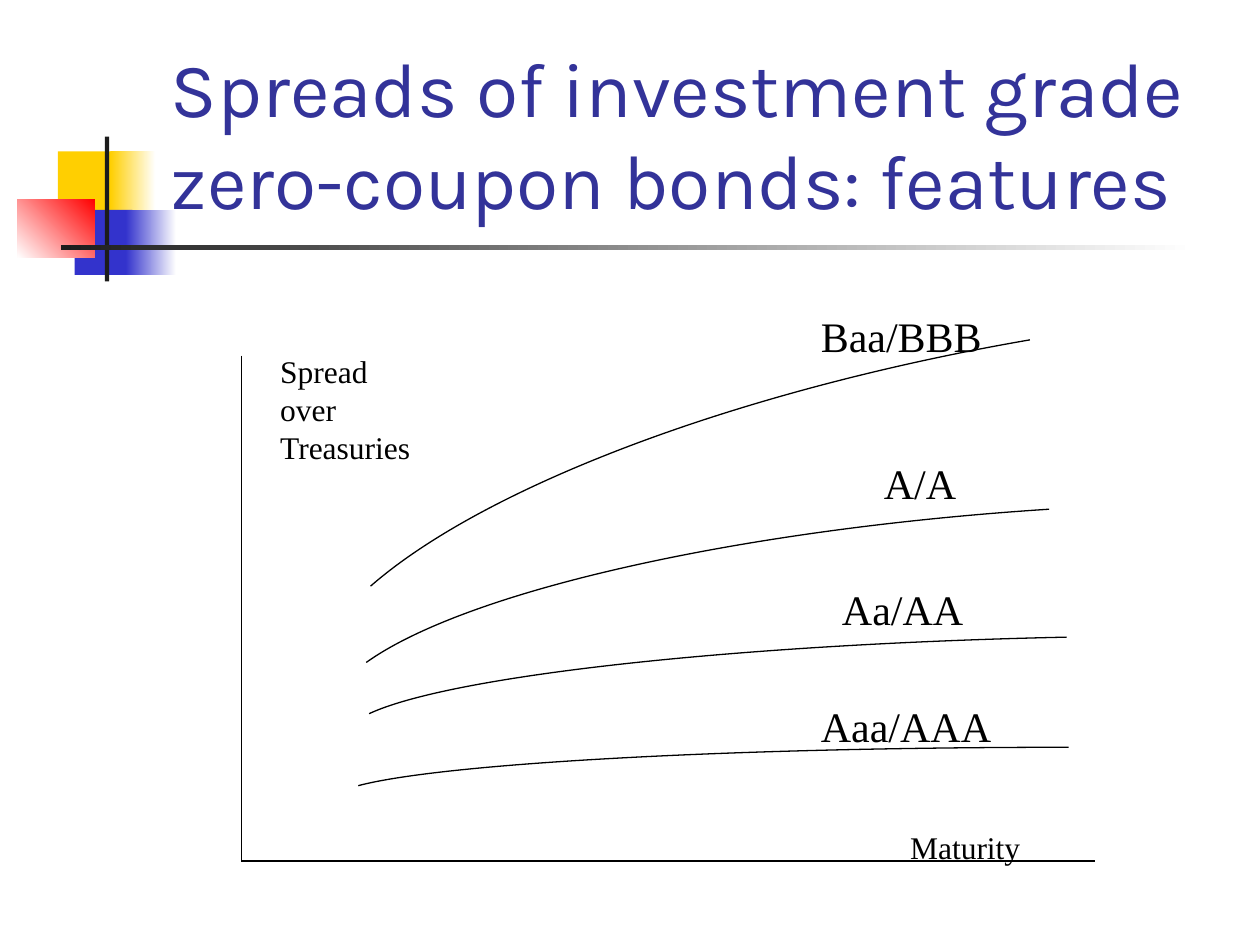
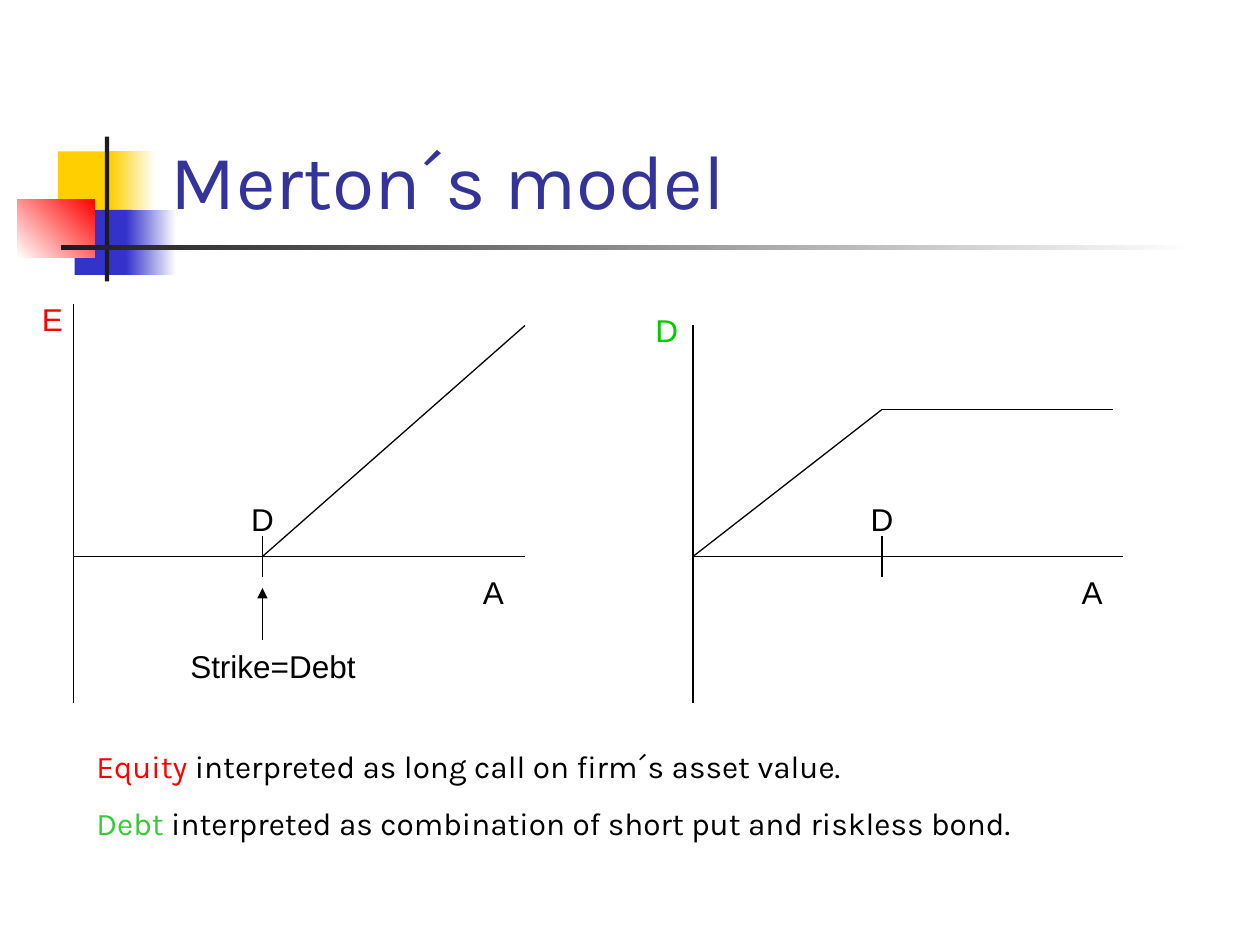
from math import cos, radians, sin, tan

from lxml import etree
from pptx import Presentation
from pptx.dml.color import RGBColor
from pptx.enum.shapes import MSO_CONNECTOR, MSO_SHAPE
from pptx.enum.text import MSO_ANCHOR, MSO_AUTO_SIZE, PP_ALIGN
from pptx.oxml.ns import qn
from pptx.util import Pt

RECTANGLE = MSO_SHAPE.RECTANGLE
STRAIGHT = MSO_CONNECTOR.STRAIGHT
LEFT, CENTER = PP_ALIGN.LEFT, PP_ALIGN.CENTER
BOTTOM = MSO_ANCHOR.BOTTOM
FIXED, GROW = MSO_AUTO_SIZE.NONE, MSO_AUTO_SIZE.SHAPE_TO_FIT_TEXT
TITLE_ONLY = 5

COLORS = {
    "title": "333399", "text": "000000", "white": "FFFFFF",
    "yellow": "FFCF01", "blue": "3333CC", "red": "FF0000", "bar": "1C1C1C",
    "debt_axis": "00CC00", "debt_word": "33CC33",
}
TITLE_FONT, SERIF, SANS = "Karla", "Times New Roman", "Arial"
TITLE_BOX = (90.4, 16.9, 613.4, 115.2)

# left, top, width, height, color, direction of the fade to white (None: solid)
ORNAMENT = [
    (33.1, 86.5, 34.6, 37.4, "yellow", None),
    (63.1, 86.5, 25.7, 37.4, "yellow", 0),
    (42.6, 119.9, 33.1, 37.2, "blue", None),
    (72, 119.9, 28.6, 37.2, "blue", 0),
    (9.9, 113.8, 44.3, 33.4, "red", 225),
    (59.9, 78, 2.5, 82.8, "bar", None),
    (34.8, 140.2, 648, 2.5, "bar", 0),
]

SPREAD_TITLE = "Spreads of investment grade zero-coupon bonds: features"
SPREAD_AXES = [(138, 203.2), (138, 492), (625.5, 492)]
# ellipse center, radii, tilt in degrees, sweep back from the top in degrees
SPREAD_CURVES = [
    ((610.6, 456.5), (419.8, 29.5), 0, 75.2),
    ((610.6, 411.3), (412.6, 47.2), -1.2, 75.5),
    ((605.6, 385.1), (420.1, 94.3), -3.7, 70.1),
    ((611.6, 327.6), (442.4, 135.4), -9.8, 63.3),
]
# text, left, top, width, height, size
SPREAD_LABELS = [
    ("Spread over Treasuries", 153, 197.6, 94.3, 72, 18),
    ("Maturity", 513, 469.4, 134.6, 28.8, 18),
    ("Baa/BBB", 462, 174, 126, 36, 24),
    ("A/A", 498, 258, 67.7, 36, 24),
    ("Aa/AA", 474, 330, 106.6, 36, 24),
    ("Aaa/AAA", 462, 396.5, 126, 36, 24),
]

MERTON_TITLE = "Merton´s model"
BASELINE, AXIS_BOTTOM = 318, 402
PAYOFFS = [
    {"axis_top": 174, "axis_right": 300, "strike": 150,
     "payoff": [(42, 318), (150, 318), (300, 186)],
     "value": ("E", "red", 30, 168, 36), "asset": (282, 36)},
    {"axis_top": 186, "axis_right": 642, "strike": 504,
     "payoff": [(396, 318), (504, 234), (636, 234)],
     "value": ("D", "debt_axis", 381, 174, 42), "asset": (624, 48)},
]
CONCLUSIONS = [
    [("Equity", "red"),
     (" interpreted as long call on firm´s asset value.", "text")],
    [("Debt", "debt_word"),
     (" interpreted as combination of short put and riskless bond.", "text")],
]


def rgb(name):
    return RGBColor.from_string(COLORS[name])


def style(span, font, size, color):
    span.font.name = font
    span.font.size = Pt(size)
    span.font.color.rgb = rgb(color)


def add_ornament(deck, page):
    """Shape the ornament on a page, then hand it to the slide master."""
    master_tree = deck.slide_master.shapes.element
    for index, (*box, color, fade) in enumerate(ORNAMENT):
        block = page.shapes.add_shape(RECTANGLE, *map(Pt, box))
        block.shadow.inherit = False
        block.line.fill.background()
        if fade is None:
            block.fill.solid()
            block.fill.fore_color.rgb = rgb(color)
        else:
            block.fill.gradient()
            block.fill.gradient_angle = fade
            for stop, name in zip(block.fill.gradient_stops, (color, "white")):
                stop.color.rgb = rgb(name)
        block.element.nvSpPr.cNvPr.set("id", str(100 + index))
        master_tree.insert(2 + index, block.element)


def add_page(deck, heading):
    page = deck.slides.add_slide(deck.slide_layouts[TITLE_ONLY])
    title = page.shapes.title
    title.left, title.top, title.width, title.height = map(Pt, TITLE_BOX)
    frame = title.text_frame
    frame.text = heading
    frame.word_wrap = True
    frame.auto_size = FIXED
    frame.vertical_anchor = BOTTOM
    frame.paragraphs[0].alignment = LEFT
    style(frame.paragraphs[0].runs[0], TITLE_FONT, 44, "title")
    return page


def add_text(shapes, paragraphs, box, font, size=18, align=LEFT):
    """Add a text box; each paragraph is a list of (text, color) spans."""
    frame = shapes.add_textbox(*map(Pt, box)).text_frame
    frame.word_wrap = True
    frame.auto_size = GROW
    for index, spans in enumerate(paragraphs):
        para = frame.add_paragraph() if index else frame.paragraphs[0]
        para.alignment = align
        para.space_before = Pt(size * 0.62)
        for text, color in spans:
            span = para.add_run()
            span.text = text
            style(span, font, size, color)


def add_centered(shapes, text, center, top, color="text", width=36):
    box = (center - width / 2, top, width, 28.8)
    add_text(shapes, [[(text, color)]], box, SANS, align=CENTER)


def add_line(shapes, start, end, arrow=False):
    line = shapes.add_connector(STRAIGHT, *map(Pt, (*start, *end)))
    line.line.width = Pt(0.75)
    line.line.color.rgb = rgb("text")
    properties = line.element.spPr
    etree.SubElement(properties, qn("a:effectLst"))
    if arrow:
        etree.SubElement(properties.find(qn("a:ln")), qn("a:tailEnd"),
                         type="triangle")


def add_path(shapes, points):
    for start, end in zip(points, points[1:]):
        add_line(shapes, start, end)


def arc_points(radii, sweep, pieces=2):
    """Bezier points of an arc from the top of an ellipse back to the left."""
    step = radians(sweep) / pieces
    reach = 4 / 3 * tan(step / 4)
    points = [(0, -1)]
    for piece in range(pieces):
        start, end = piece * step, (piece + 1) * step
        points += [
            (-sin(start) - reach * cos(start), -cos(start) + reach * sin(start)),
            (-sin(end) + reach * cos(end), -cos(end) - reach * sin(end)),
            (-sin(end), -cos(end)),
        ]
    return [(Pt(radii[0] * (1 + x)), Pt(radii[1] * (1 + y))) for x, y in points]


def add_curve(shapes, center, radii, tilt, sweep):
    """Draw a smooth arc in the frame of its whole, tilted ellipse."""
    left, top = (Pt(c - r) for c, r in zip(center, radii))
    right, bottom = (Pt(c + r) for c, r in zip(center, radii))
    builder = shapes.build_freeform(left, top)
    builder.add_line_segments([(right, bottom)], close=False)
    curve = builder.convert_to_shape()
    curve.shadow.inherit = False
    curve.fill.background()
    curve.line.width = Pt(0.75)
    curve.line.color.rgb = rgb("text")
    curve.rotation = tilt % 360
    outline = next(curve.element.iter(qn("a:path")))
    for segment in list(outline):
        outline.remove(segment)
    for index, (x, y) in enumerate(arc_points(radii, sweep)):
        if index == 0:
            segment = etree.SubElement(outline, qn("a:moveTo"))
        elif index % 3 == 1:
            segment = etree.SubElement(outline, qn("a:cubicBezTo"))
        etree.SubElement(segment, qn("a:pt"), x=str(x), y=str(y))


def add_payoff(shapes, chart):
    origin, strike = chart["payoff"][0][0], chart["strike"]
    add_line(shapes, (origin, chart["axis_top"]), (origin, AXIS_BOTTOM))
    add_line(shapes, (origin, BASELINE), (chart["axis_right"], BASELINE))
    add_path(shapes, chart["payoff"])
    add_line(shapes, (strike, BASELINE - 12), (strike, BASELINE + 12))
    add_centered(shapes, "D", strike, BASELINE - 36)
    asset_center, asset_width = chart["asset"]
    add_centered(shapes, "A", asset_center, BASELINE + 6, width=asset_width)
    name, color, center, top, width = chart["value"]
    add_centered(shapes, name, center, top, color, width)


def build_spreads(deck):
    page = add_page(deck, SPREAD_TITLE)
    add_ornament(deck, page)
    shapes = page.shapes
    add_path(shapes, SPREAD_AXES)
    for curve in SPREAD_CURVES:
        add_curve(shapes, *curve)
    for text, *box, size in SPREAD_LABELS:
        add_text(shapes, [[(text, "text")]], box, SERIF, size)


def build_merton(deck):
    shapes = add_page(deck, MERTON_TITLE).shapes
    for chart in PAYOFFS:
        add_payoff(shapes, chart)
    strike = PAYOFFS[0]["strike"]
    add_line(shapes, (strike, 366), (strike, 336), arrow=True)
    add_centered(shapes, "Strike=Debt", strike + 6, 366, width=120)
    add_text(shapes, CONCLUSIONS, (48, 423.4, 607, 61.9), TITLE_FONT)


def main():
    deck = Presentation()
    deck.slide_width, deck.slide_height = Pt(720), Pt(540)
    build_spreads(deck)
    build_merton(deck)
    deck.save("out.pptx")


if __name__ == "__main__":
    main()
